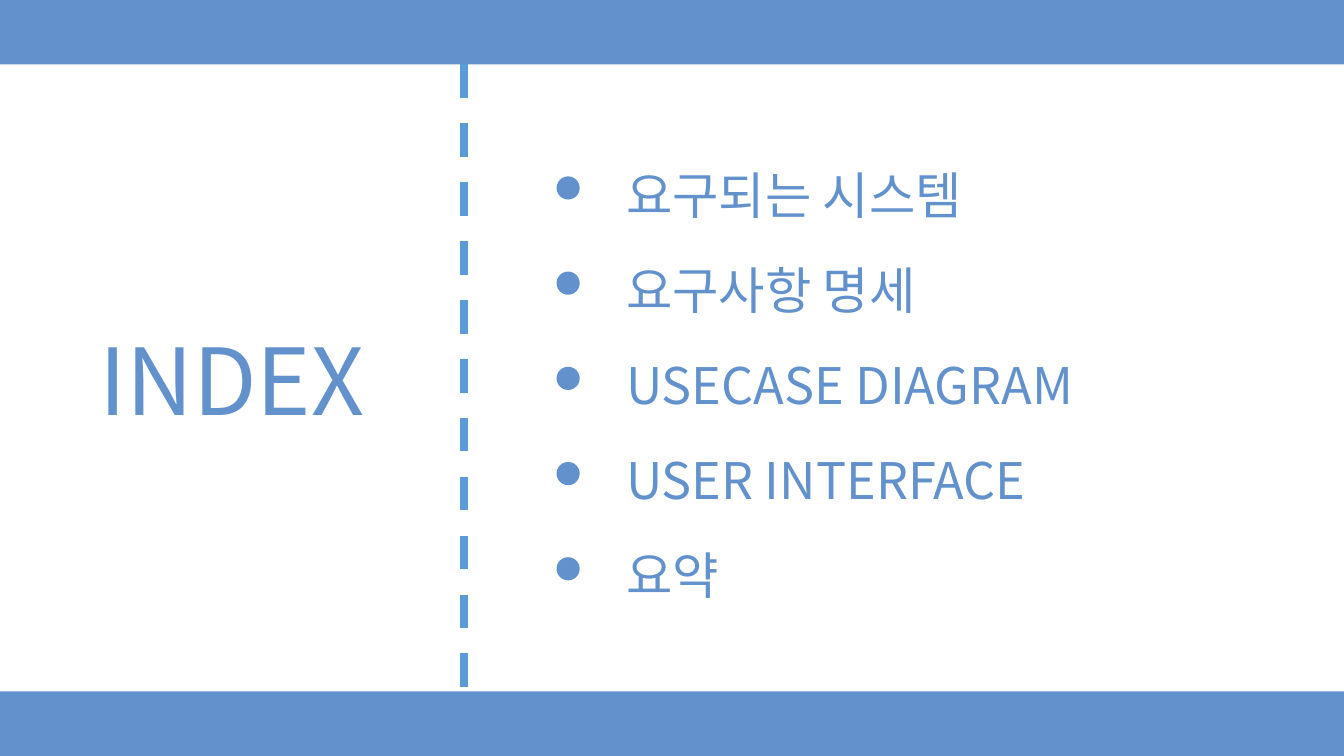
import pptx
import pptx.util
import pptx.dml.color
import pptx.enum.dml
import pptx.enum.shapes
import pptx.enum.text
import pptx.oxml.ns
import lxml.etree

Inches = pptx.util.Inches
Pt = pptx.util.Pt
RGBColor = pptx.dml.color.RGBColor
MSO_SHAPE = pptx.enum.shapes.MSO_SHAPE
PP_ALIGN = pptx.enum.text.PP_ALIGN
qn = pptx.oxml.ns.qn

BLUE = RGBColor(0x62, 0x91, 0xCC)
DIVIDER_BLUE = RGBColor(0x5B, 0x9B, 0xD5)
FONT = "Noto Sans CJK KR"
WIDTH, HEIGHT = 13.33, 7.5
BAND = 0.64
DIVIDER_X = 4.6
DOT = 0.23
DOT_TOP = 1.75
ROW_STEP = 68 / 72  # distance between list lines, 68 pt
ITEMS = ["요구되는 시스템", "요구사항 명세", "USECASE DIAGRAM", "USER INTERFACE", "요약"]


def add_solid(slide, kind, left, top, width, height):
    sp = slide.shapes.add_shape(kind, Inches(left), Inches(top),
                                Inches(width), Inches(height))
    sp.shadow.inherit = False
    sp.fill.solid()
    sp.fill.fore_color.rgb = BLUE
    sp.line.fill.background()


def add_divider(slide, x, top, bottom):
    line = slide.shapes.add_connector(pptx.enum.shapes.MSO_CONNECTOR.STRAIGHT,
                                      Inches(x), Inches(top), Inches(x), Inches(bottom))
    line.line.color.rgb = DIVIDER_BLUE
    line.line.width = Pt(6)
    line.line.dash_style = pptx.enum.dml.MSO_LINE.DASH
    lxml.etree.SubElement(line._element.spPr, qn("a:effectLst"))


def place(sp, left, top, width, height, anchor):
    sp.left, sp.top = Inches(left), Inches(top)
    sp.width, sp.height = Inches(width), Inches(height)
    tf = sp.text_frame
    tf.word_wrap = True
    tf.auto_size = pptx.enum.text.MSO_AUTO_SIZE.NONE
    tf.vertical_anchor = anchor
    tf.margin_top = tf.margin_bottom = 0
    return tf


def write(p, text, size, align=PP_ALIGN.LEFT, spacing=None):
    p.alignment = align
    p.space_before = Pt(0)
    p.line_spacing = spacing
    r = p.add_run()
    r.text = text
    r.font.size = Pt(size)
    r.font.name = FONT
    r.font.color.rgb = BLUE
    # East Asian typeface for the Korean text
    ea = lxml.etree.SubElement(r.font._element, qn("a:ea"))
    ea.set("typeface", FONT)


def remove_bullet(p):
    pPr = p._p.get_or_add_pPr()
    pPr.set("marL", "0")
    pPr.set("indent", "0")
    lxml.etree.SubElement(pPr, qn("a:buNone"))


def main():
    prs = pptx.Presentation()
    prs.slide_width, prs.slide_height = Inches(WIDTH), Inches(HEIGHT)
    slide = prs.slides.add_slide(prs.slide_layouts[1])
    title, body = slide.placeholders

    # Bands and divider
    for top in (0, HEIGHT - BAND):
        add_solid(slide, MSO_SHAPE.RECTANGLE, 0, top, WIDTH, BAND)
    add_divider(slide, DIVIDER_X, BAND, HEIGHT - BAND)

    # Title
    tf = place(title, 0, 0.65, DIVIDER_X, 6.21, pptx.enum.text.MSO_ANCHOR.MIDDLE)
    write(tf.paragraphs[0], "INDEX", 66, align=PP_ALIGN.CENTER)

    # List with a round marker beside each line
    tf = place(body, 6.11, 1.28, 5.19, 4.75, pptx.enum.text.MSO_ANCHOR.TOP)
    for i, item in enumerate(ITEMS):
        p = tf.add_paragraph() if i else tf.paragraphs[0]
        write(p, item, 36, spacing=Pt(ROW_STEP * 72))
        remove_bullet(p)
        add_solid(slide, MSO_SHAPE.OVAL, 5.52, DOT_TOP + i * ROW_STEP, DOT, DOT)

    prs.save("out.pptx")


main()
